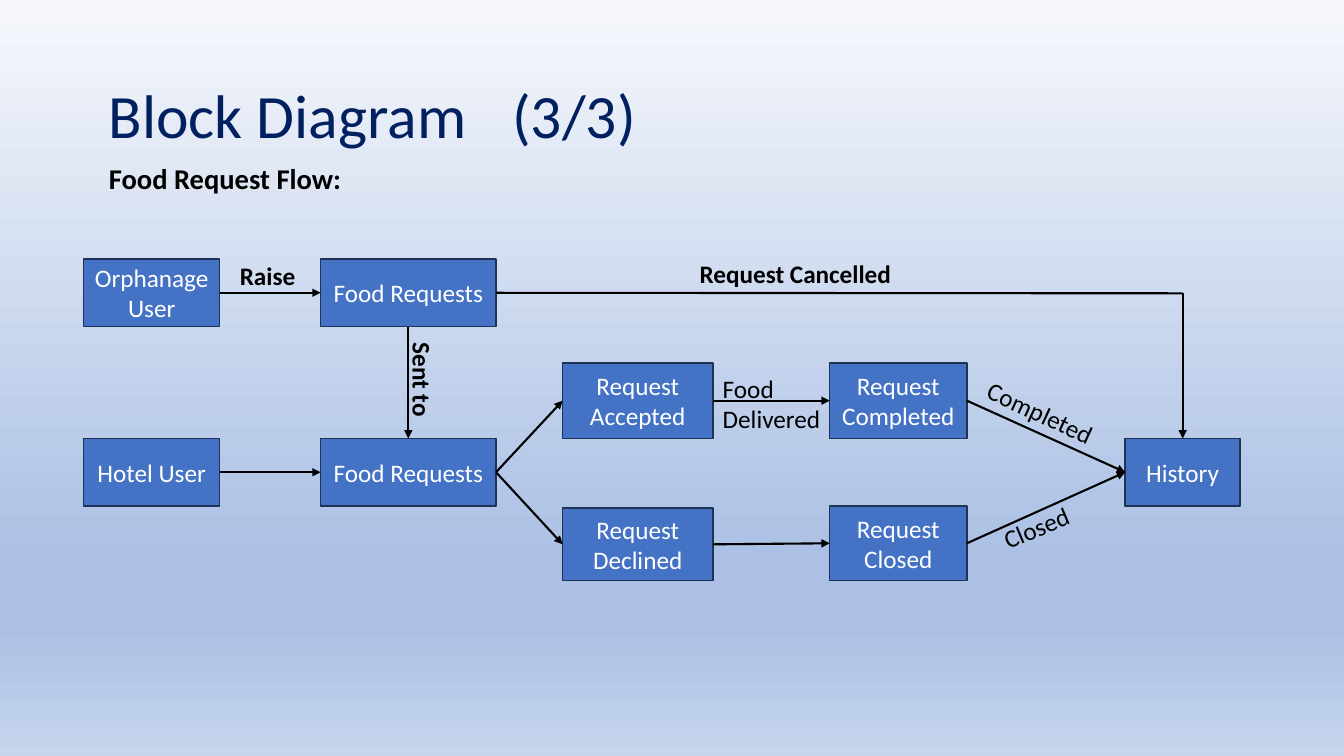
from dataclasses import dataclass

from lxml.etree import SubElement
from pptx import Presentation
from pptx.dml.color import RGBColor
from pptx.enum.shapes import MSO_CONNECTOR, MSO_SHAPE
from pptx.enum.text import MSO_ANCHOR, MSO_AUTO_SIZE, PP_ALIGN
from pptx.oxml.ns import qn
from pptx.util import Emu, Pt

PX = 9144  # EMU per px, 100 px to the inch
FONT = "Calibri"
NAVY = RGBColor(0x00, 0x20, 0x60)
BLUE = RGBColor(0x44, 0x72, 0xC4)
EDGE = RGBColor(0x1E, 0x32, 0x56)
BLACK = RGBColor(0x00, 0x00, 0x00)
WHITE = RGBColor(0xFF, 0xFF, 0xFF)
SKY = [
    (0, RGBColor(0xF6, 0xF8, 0xFC)),
    (74, RGBColor(0xAB, 0xC0, 0xE4)),
    (83, RGBColor(0xAB, 0xC0, 0xE4)),
    (100, RGBColor(0xC7, 0xD5, 0xED)),
]
TOP, LEFT, BOTTOM, RIGHT = range(4)  # connection sites of a rectangle


@dataclass
class Box:
    text: str
    x: int
    y: int
    w: int
    h: int = 67


@dataclass
class Label:
    text: str
    x: int
    y: int
    w: int
    h: int = 40
    bold: bool = False
    rotation: float = 0


@dataclass
class Flow:
    start: str
    end: str
    start_site: int = RIGHT
    end_site: int = LEFT


BOXES = {
    "orphanage": Box("Orphanage User", 83, 257, 135),
    "hotel": Box("Hotel User", 83, 435, 135),
    "raised": Box("Food Requests", 318, 257, 174),
    "received": Box("Food Requests", 318, 435, 174),
    "accepted": Box("Request Accepted", 558, 360, 149, 75),
    "declined": Box("Request Declined", 558, 504, 149, 72),
    "completed": Box("Request Completed", 823, 360, 136, 75),
    "closed": Box("Request Closed", 823, 502, 136, 74),
    "history": Box("History", 1116, 435, 114),
}
FLOWS = [
    Flow("orphanage", "raised"),
    Flow("hotel", "received"),
    Flow("raised", "received", BOTTOM, TOP),
    Flow("received", "accepted"),
    Flow("received", "declined"),
    Flow("accepted", "completed"),
    Flow("declined", "closed"),
    Flow("completed", "history"),
    Flow("closed", "history"),
]
LABELS = [
    Label("Raise", 228, 253, 78, bold=True),
    Label("Sent to", 371, 358, 96, bold=True, rotation=90),
    Label("Request Cancelled", 684, 251, 221, bold=True),
    Label("Food Delivered", 707, 365, 124, 71),
    Label("Completed", 966, 391, 140, rotation=24.8),
    Label("Closed", 984, 503, 89, rotation=337.3),
]


def px(*values: int) -> list[Emu]:
    return [Emu(v * PX) for v in values]


def write(shape, text: str, *, size: float = 18, color: RGBColor = BLACK,
          bold: bool = False, align=PP_ALIGN.LEFT, anchor=MSO_ANCHOR.TOP,
          auto_size=MSO_AUTO_SIZE.NONE):
    tf = shape.text_frame
    tf.word_wrap = True
    tf.auto_size = auto_size
    tf.vertical_anchor = anchor
    p = tf.paragraphs[0]
    p.alignment = align
    r = p.add_run()
    r.text = text
    r.font.name, r.font.size, r.font.bold = FONT, Pt(size), bold
    r.font.color.rgb = color
    return p


def place(shape, x: int, y: int, w: int, h: int) -> None:
    shape.left, shape.top, shape.width, shape.height = px(x, y, w, h)


def paint_background(s) -> None:
    fill = s.background.fill
    fill.gradient()
    fill.gradient_angle = 270
    stops = s.element.find(".//" + qn("a:gsLst"))
    for stop in list(stops):
        stops.remove(stop)
    for percent, color in SKY:
        stop = SubElement(stops, qn("a:gs"), pos=str(percent * 1000))
        SubElement(stop, qn("a:srgbClr"), val=str(color))


def add_box(s, box: Box):
    sp = s.shapes.add_shape(MSO_SHAPE.RECTANGLE, *px(box.x, box.y, box.w, box.h))
    sp.shadow.inherit = False
    sp.fill.solid()
    sp.fill.fore_color.rgb = BLUE
    sp.line.color.rgb = EDGE
    sp.line.width = Pt(1)
    write(sp, box.text, color=WHITE, align=PP_ALIGN.CENTER, anchor=MSO_ANCHOR.MIDDLE)
    return sp


def add_line(s, x1: int = 0, y1: int = 0, x2: int = 0, y2: int = 0, arrow: bool = True):
    line = s.shapes.add_connector(MSO_CONNECTOR.STRAIGHT, *px(x1, y1, x2, y2))
    line.line.color.rgb = BLACK
    line.line.width = Pt(1.5)
    if arrow:
        SubElement(line.line._get_or_add_ln(), qn("a:tailEnd"), type="triangle")
    SubElement(line._element.spPr, qn("a:effectLst"))
    return line


def add_label(s, label: Label) -> None:
    tb = s.shapes.add_textbox(*px(label.x, label.y, label.w, label.h))
    tb.rotation = label.rotation
    write(tb, label.text, bold=label.bold, auto_size=MSO_AUTO_SIZE.SHAPE_TO_FIT_TEXT)


def main() -> None:
    prs = Presentation()
    prs.slide_width, prs.slide_height = px(1333, 750)
    s = prs.slides.add_slide(prs.slide_layouts[0])
    paint_background(s)

    # Title and subtitle
    title, subtitle = s.placeholders
    place(title, 98, 80, 667, 76)
    p = write(title, "Block Diagram\t(3/3)", size=44, color=NAVY, anchor=MSO_ANCHOR.BOTTOM)
    p.line_spacing = 0.9
    place(subtitle, 98, 164, 410, 37)
    p = write(subtitle, "Food Request Flow:", size=20.4, bold=True)
    p.line_spacing = 0.7
    p.space_before = Pt(10)

    # Boxes and the arrows glued to them
    shapes = {name: add_box(s, box) for name, box in BOXES.items()}
    for flow in FLOWS:
        line = add_line(s)
        line.begin_connect(shapes[flow.start], flow.start_site)
        line.end_connect(shapes[flow.end], flow.end_site)

    # Cancelled requests go along the top and down to the history
    across = add_line(s, 492, 290, 1173, 291, arrow=False)
    across.begin_connect(shapes["raised"], RIGHT)
    down = add_line(s, 1173, 291, 1173, 435)
    down.end_connect(shapes["history"], TOP)

    for label in LABELS:
        add_label(s, label)

    prs.save("out.pptx")


if __name__ == "__main__":
    main()
